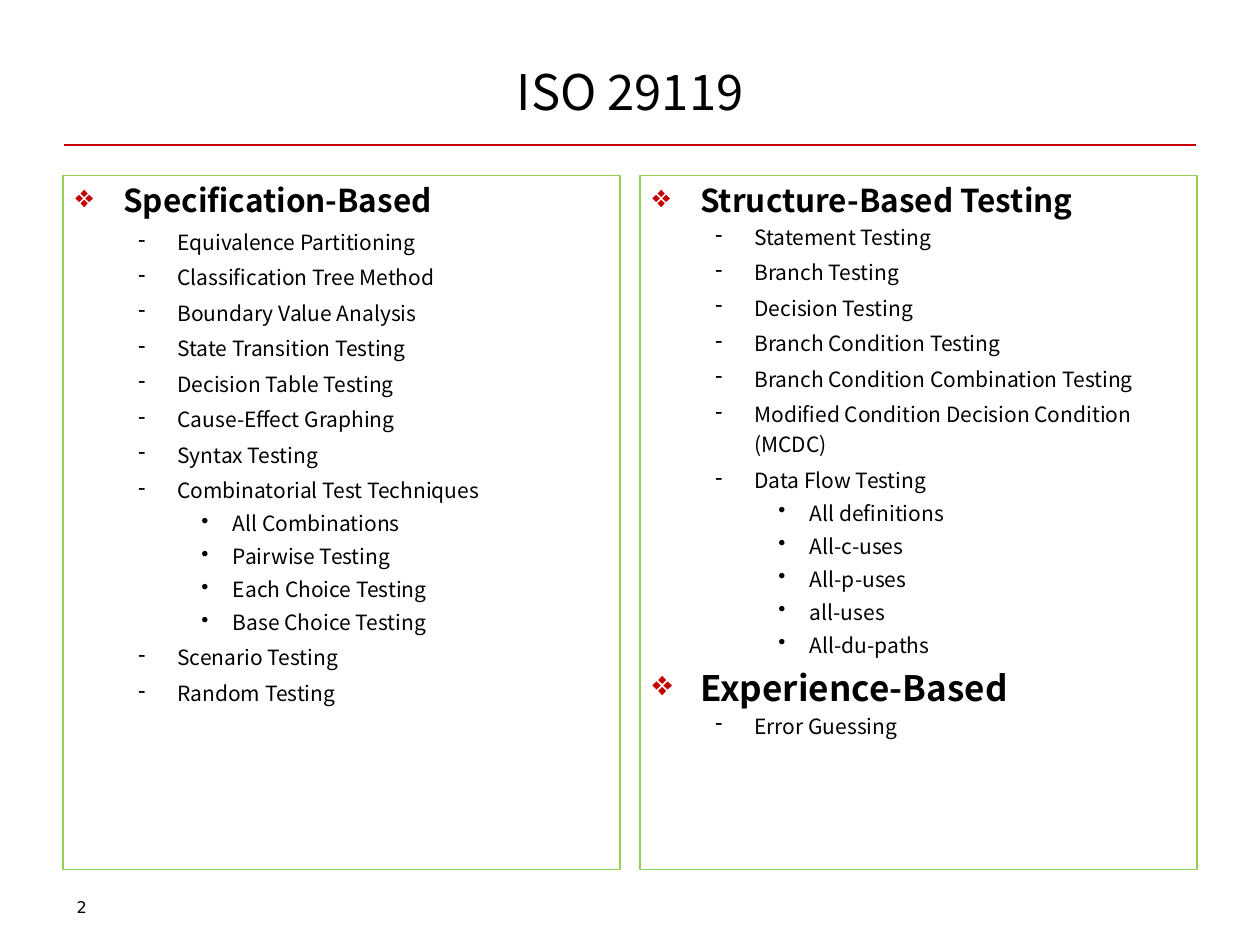
from lxml import etree
from pptx import Presentation
from pptx.dml.color import RGBColor
from pptx.enum.shapes import MSO_CONNECTOR, MSO_SHAPE
from pptx.enum.text import MSO_ANCHOR, PP_ALIGN
from pptx.oxml.ns import qn
from pptx.util import Inches, Pt

RECTANGLE = MSO_SHAPE.RECTANGLE
STRAIGHT = MSO_CONNECTOR.STRAIGHT
TOP, MIDDLE = MSO_ANCHOR.TOP, MSO_ANCHOR.MIDDLE
LEFT, CENTER = PP_ALIGN.LEFT, PP_ALIGN.CENTER

BODY_FONT = "Noto Sans CJK KR"
NUMBER_FONT = "DejaVu Sans"
BLACK, RED, GREEN = "000000", "C40000", "92D050"

HEADING = dict(size=18, bold=True, bullet="❖", bullet_color=RED,
               margin=0.38, hanging=0.38, before=4.5)
LARGE_HEADING = dict(HEADING, size=20, before=5)
TECHNIQUE = dict(size=12, level=1, bullet="-", margin=0.81, hanging=0.31,
                 before=3, spacing=1.2)
TIGHT_TECHNIQUE = dict(TECHNIQUE, spacing=None)
CRITERION = dict(size=12, level=2, bullet="•", margin=1.25, hanging=0.25,
                 before=3, spacing=1.1)

SPECIFICATION = [
    (HEADING, ["Specification-Based"]),
    (TECHNIQUE, ["Equivalence Partitioning", "Classification Tree Method",
                 "Boundary Value Analysis", "State Transition Testing",
                 "Decision Table Testing", "Cause-Effect Graphing",
                 "Syntax Testing", "Combinatorial Test Techniques"]),
    (CRITERION, ["All Combinations", "Pairwise Testing",
                 "Each Choice Testing", "Base Choice Testing"]),
    (TECHNIQUE, ["Scenario Testing", "Random Testing"]),
]
STRUCTURE_AND_EXPERIENCE = [
    (HEADING, ["Structure-Based Testing"]),
    (TIGHT_TECHNIQUE, ["Statement Testing"]),
    (TECHNIQUE, ["Branch Testing", "Decision Testing",
                 "Branch Condition Testing",
                 "Branch Condition Combination Testing",
                 "Modified Condition Decision Condition (MCDC)",
                 "Data Flow Testing"]),
    (CRITERION, ["All definitions", "All-c-uses", "All-p-uses", "all-uses",
                 "All-du-paths"]),
    (LARGE_HEADING, ["Experience-Based"]),
    (TIGHT_TECHNIQUE, ["Error Guessing"]),
]


def color(value):
    return RGBColor.from_string(value)


def add_bullet(paragraph, mark, mark_color, margin, hanging):
    properties = paragraph._p.get_or_add_pPr()
    properties.set("marL", str(Inches(margin)))
    properties.set("indent", str(-Inches(hanging)))
    bullet_fill = etree.SubElement(properties, qn("a:buClr"))
    etree.SubElement(bullet_fill, qn("a:srgbClr"), val=mark_color)
    etree.SubElement(properties, qn("a:buChar"), char=mark)


def write(frame, text, size=12, font=BODY_FONT, bold=False, align=LEFT, level=0,
          bullet=None, bullet_color=BLACK, margin=0, hanging=0, before=0,
          spacing=None):
    first = not frame.paragraphs[0].runs
    paragraph = frame.paragraphs[0] if first else frame.add_paragraph()
    if bullet:
        add_bullet(paragraph, bullet, bullet_color, margin, hanging)
    paragraph.level = level
    paragraph.alignment = align
    if spacing:
        paragraph.line_spacing = spacing
    paragraph.space_before = Pt(0 if first else before)
    run = paragraph.add_run()
    run.text = text
    run.font.name = font
    run.font.size = Pt(size)
    run.font.bold = bold
    run.font.color.rgb = color(BLACK)


def add_label(slide, box, text, anchor=TOP, **style):
    frame = slide.shapes.add_textbox(*map(Inches, box)).text_frame
    frame.word_wrap = True
    frame.vertical_anchor = anchor
    write(frame, text, **style)


def add_header(slide, box, title):
    left, top, width, height = box
    bottom = top + height
    rule = slide.shapes.add_connector(
        STRAIGHT, Inches(left + 0.01), Inches(bottom),
        Inches(left + width - 0.01), Inches(bottom))
    rule.line.color.rgb = color(RED)
    rule.line.width = Pt(0.75)
    etree.SubElement(rule._element.spPr, qn("a:effectLst"))
    add_label(slide, box, title, anchor=MIDDLE, size=28, align=CENTER)


def add_panel(slide, box, outline):
    panel = slide.shapes.add_shape(RECTANGLE, *map(Inches, box))
    panel.shadow.inherit = False
    panel.fill.background()
    panel.line.color.rgb = color(GREEN)
    panel.line.width = Pt(0.75)
    frame = panel.text_frame
    frame.word_wrap = True
    frame.vertical_anchor = TOP
    for style, entries in outline:
        for entry in entries:
            write(frame, entry, **style)


def main():
    deck = Presentation()
    deck.slide_width, deck.slide_height = Inches(10), Inches(7.5)
    slide = deck.slides.add_slide(deck.slide_layouts[6])

    margin, gap, content_width = 0.5, 0.16, 9
    panel_width = (content_width - gap) / 2
    add_header(slide, (margin, 0.3, content_width, 0.85), "ISO 29119")
    for column, outline in enumerate([SPECIFICATION, STRUCTURE_AND_EXPERIENCE]):
        left = margin + column * (panel_width + gap)
        add_panel(slide, (left, 1.39, panel_width, 5.51), outline)
    add_label(slide, (0.51, 7.09, 2.33, 0.28), "2", size=9.2, font=NUMBER_FONT,
              spacing=0.9)
    deck.save("out.pptx")


if __name__ == "__main__":
    main()
